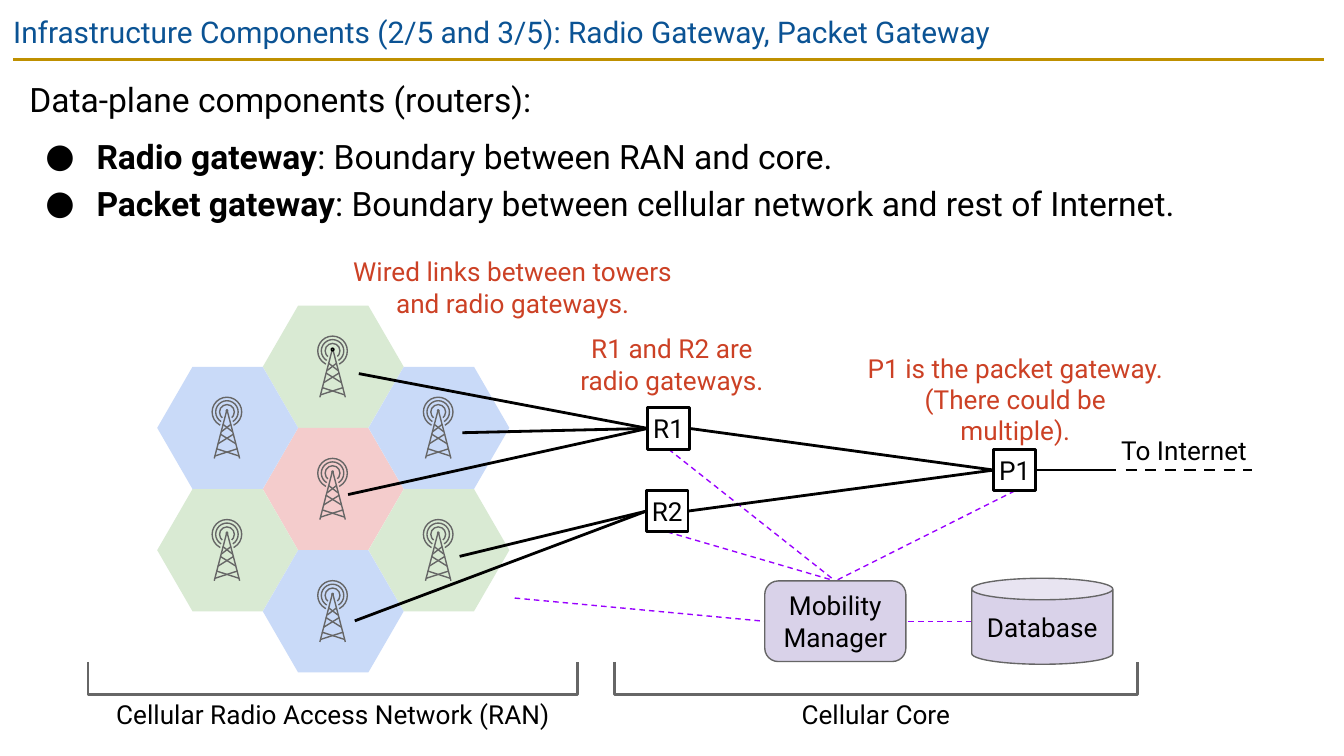
from pptx import Presentation
from pptx.dml.color import RGBColor
from pptx.enum.dml import MSO_LINE
from pptx.enum.shapes import MSO_CONNECTOR, MSO_SHAPE
from pptx.enum.text import MSO_ANCHOR, PP_ALIGN
from pptx.oxml.xmlchemy import OxmlElement
from pptx.util import Inches, Pt

WIDTH = Inches(10)
HEIGHT = WIDTH * 9 // 16
COL = WIDTH / 100  # square grid: 100 columns, rows of the same size
FONT = "Roboto"
C = {
    "title": "0B5394", "rule": "BF9000", "text": "000000", "note": "CC4125",
    "grey": "666666", "control": "9900FF", "lilac": "D9D2E9", "white": "FFFFFF",
    "green": "D9EAD3", "blue": "C9DAF8", "red": "F4CCCC",
}
# Grid column, row (in cell heights) and colour of each cell
CELLS = [(1, 0, "green"), (1, 1, "red"), (0, 0.5, "blue"), (2, 0.5, "blue"),
         (2, 1.5, "green"), (0, 1.5, "green"), (1, 2, "blue")]
# Top, bottom, half width at top and at bottom, as shares of the tower
STRUTS = [(0.2, 1, 0, 0.43), (0.44, 0.56, 0.14, 0.18),
          (0.6, 0.76, 0.23, 0.3), (0.84, 0.96, 0.36, 0.41)]
# Share of the tower's width, start and end angle
WAVES = [(1, 70.01, 38.01), (0.76, 72.89, 35.08), (0.5, 77.26, 29.81)]


def rgb(name):
    return RGBColor.from_string(C[name])


def emu(*cols):
    return [round(c * COL) for c in cols]


def within(box, fx, fy):
    """Point at the given shares of a box."""
    x, y, w, h = box
    return x + fx * w, y + fy * h


def add_line(parent, start, end, color="text", width=1.5, dash=False):
    c = parent.shapes.add_connector(MSO_CONNECTOR.STRAIGHT, *emu(*start, *end))
    c.line.color.rgb = rgb(color)
    c.line.width = Pt(width)
    if dash:
        c.line.dash_style = MSO_LINE.DASH
    c._element.spPr.append(OxmlElement("a:effectLst"))


def style(sp, fill=None, line=None, width=0.75):
    sp.shadow.inherit = False
    if fill:
        sp.fill.solid()
        sp.fill.fore_color.rgb = rgb(fill)
    else:
        sp.fill.background()
    if line:
        sp.line.color.rgb = rgb(line)
        sp.line.width = Pt(width)
    else:
        sp.line.fill.background()


def add_shape(parent, kind, box, **look):
    sp = parent.shapes.add_shape(kind, *emu(*box))
    style(sp, **look)
    return sp


def frame(sp, inset, anchor=MSO_ANCHOR.TOP):
    tf = sp.text_frame
    tf.word_wrap = True
    tf.vertical_anchor = anchor
    tf.margin_left = tf.margin_right = tf.margin_top = tf.margin_bottom = emu(inset)[0]
    return tf


def add_run(p, text, size=14, color="text", bold=False):
    r = p.add_run()
    r.text = text
    r.font.name, r.font.size, r.font.bold = FONT, Pt(size), bold
    r.font.color.rgb = rgb(color)


def label(s, box, *lines, color="text"):
    p = frame(s.shapes.add_textbox(*emu(*box)), 0.3).paragraphs[0]
    p.alignment = PP_ALIGN.CENTER
    for i, line in enumerate(lines):
        if i:
            p.add_line_break()
        add_run(p, line, color=color)


def node(s, kind, box, text, inset=0, **look):
    p = frame(add_shape(s, kind, box, **look), inset, MSO_ANCHOR.MIDDLE).paragraphs[0]
    p.alignment = PP_ALIGN.CENTER
    add_run(p, text)


def header(s, box, text):
    add_line(s, within(box, 0.01, 1.03), within(box, 0.985, 1.03), "rule")
    tf = frame(s.shapes.add_textbox(*emu(*box)), 1)
    add_run(tf.paragraphs[0], text, 16, "title")


def make_bullet(p):
    pPr = p._p.get_or_add_pPr()
    pPr.set("marL", str(Inches(0.5)))
    pPr.set("indent", str(-Inches(0.38)))
    for tag, key, value in (("a:buFont", "typeface", FONT), ("a:buChar", "char", "●")):
        el = OxmlElement(tag)
        el.set(key, value)
        pPr.append(el)


def intro(s, box, lead, items):
    tf = frame(s.shapes.add_textbox(*emu(*box)), 1)
    for i, (term, text) in enumerate([("", lead), *items]):
        p = tf.add_paragraph() if i else tf.paragraphs[0]
        p.line_spacing = 1.15
        p.space_before = Pt(6 if i < 2 else 0)
        if term:
            make_bullet(p)
            add_run(p, term, 18, bold=True)
        add_run(p, text, 18)


def tower(s, box, dot):
    g = s.shapes.add_group_shape()
    w = box[2]
    for top, bottom, a, b in STRUTS:
        for side in (-1, 1):
            add_line(g, within(box, 0.5 - side * a, top),
                     within(box, 0.5 + side * b, bottom), "grey", 0.75)
    cx, cy = within(box, 0.5, 0.24)
    for share, start, end in WAVES:
        d = share * w
        arc = add_shape(g, MSO_SHAPE.ARC, (cx - d / 2, cy - d / 2, d, d), line="grey")
        arc.adjustments[0], arc.adjustments[1] = start, end
    add_shape(g, MSO_SHAPE.OVAL, (cx - 0.1, cy - 0.2, 0.2, 0.2), **dot)


def cell_grid(s, box):
    w, h = box[2] * 0.4, box[3] / 3
    for i, (col, row, color) in enumerate(CELLS):
        x, y = within(box, col * 0.3, row / 3)
        cell = add_shape(s, MSO_SHAPE.HEXAGON, (x, y, w, h), fill=color)
        cell.adjustments[0] = 0.289
        dot = {"fill": "grey"} if i else {"line": "text"}
        tower(s, (x + 0.39 * w, y + 0.25 * h, 0.21 * w, 0.5 * h), dot)


def bracket(s, box, text):
    x, y, w, h = box
    pts = [emu(*within(box, fx, fy)) for fx, fy in ((0, 0), (0, 1), (1, 1), (1, 0))]
    fb = s.shapes.build_freeform(*pts[0])
    fb.add_line_segments(pts[1:], close=False)
    style(fb.convert_to_shape(), line="grey", width=1.5)
    label(s, (x + 1.4, y + h, w - 2.8, 3), text)


def network(s, box):
    """Gateways, control nodes and the links that join them to the towers."""
    x, y = box[:2]
    r1, r2, p1 = [(x + dx, y + dy, 3.1, 3.1) for dx, dy in ((0.1, 0), (0, 6.15), (25.85, 3.1))]
    manager = (x + 8.8, y + 12.9, 10.5, 6)
    database = (x + 24.2, y + 12.7, 10.5, 6.4)

    hub = within(manager, 0.5, 0)
    for gateway in (p1, r1, r2):
        add_line(s, within(gateway, 0.5, 1), hub, "control", 0.75, True)
    manager_mid = within(manager, 0, 0.5)
    add_line(s, (38.3, 44.5), manager_mid, "control", 0.75, True)
    add_line(s, within(database, 0, 0.5), within(manager, 1, 0.5), "control", 0.75, True)

    tower_ends = [(r1, [(34.4, 32.2), (26.7, 27.8), (25.9, 36.8)]),
                  (r2, [(34.2, 41.4), (26.4, 46.2)])]
    for gateway, ends in tower_ends:
        for end in ends:
            add_line(s, within(gateway, 0, 0.5), end)
        add_line(s, within(gateway, 1, 0.5), within(p1, 0, 0.5))

    px, py = within(p1, 1, 0.5)
    add_line(s, (px, py), (px + 6, py))
    add_line(s, (px + 6.7, py), (px + 16.1, py), dash=True)
    label(s, (px + 6, py - 2.95, 10.1, 3), "To Internet")

    for gateway, name in ((r1, "R1"), (r2, "R2"), (p1, "P1")):
        node(s, MSO_SHAPE.RECTANGLE, gateway, name, fill="white", line="text", width=1.5)
    node(s, MSO_SHAPE.ROUNDED_RECTANGLE, manager, "Mobility Manager", 1, fill="lilac", line="grey")
    node(s, MSO_SHAPE.CAN, database, "Database", 1, fill="lilac", line="grey")


def main():
    prs = Presentation()
    prs.slide_width, prs.slide_height = WIDTH, HEIGHT
    s = prs.slides.add_slide(prs.slide_layouts[6])
    header(s, (0, 0, 100, 4.3),
           "Infrastructure Components (2/5 and 3/5): Radio Gateway, Packet Gateway")
    intro(s, (1.2, 4.4, 97.4, 14.7), "Data-plane components (routers):", [
        ("Radio gateway", ": Boundary between RAN and core."),
        ("Packet gateway", ": Boundary between cellular network and rest of Internet."),
    ])
    cell_grid(s, (11.7, 22.74, 26.2, 27.3))
    bracket(s, (6.55, 49.25, 36.45, 2.45), "Cellular Radio Access Network (RAN)")
    bracket(s, (45.7, 49.25, 38.95, 2.45), "Cellular Core")
    network(s, (48.1, 30.33, 45.1, 19.1))
    label(s, (42.65, 24.45, 14.7, 5.3), "R1 and R2 are radio gateways.", color="note")
    label(s, (64.2, 25.9, 22.7, 5.3), "P1 is the packet gateway.",
          "(There could be multiple).", color="note")
    label(s, (25, 18.74, 26.3, 5.3), "Wired links between towers and radio gateways.", color="note")
    prs.save("out.pptx")


if __name__ == "__main__":
    main()
